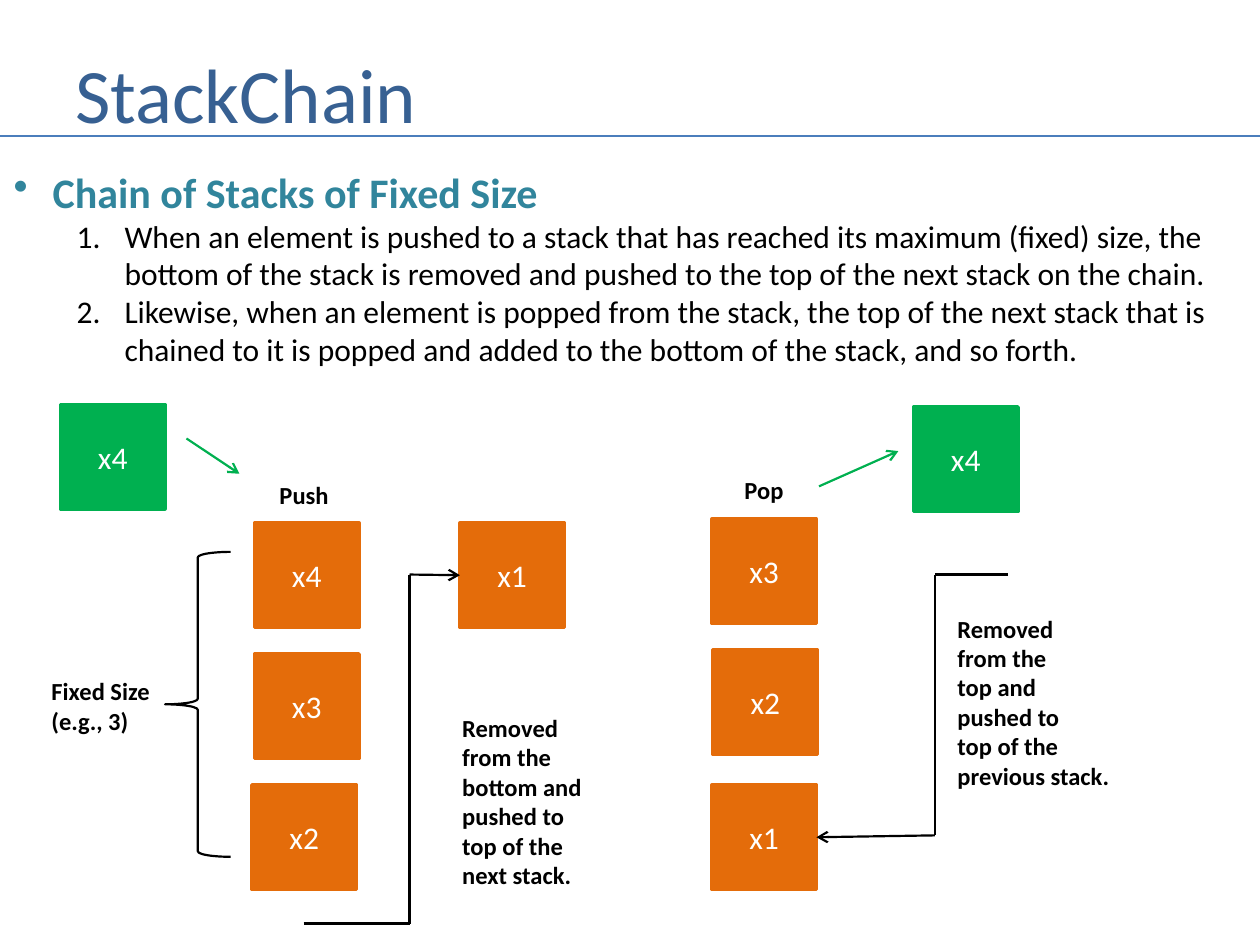
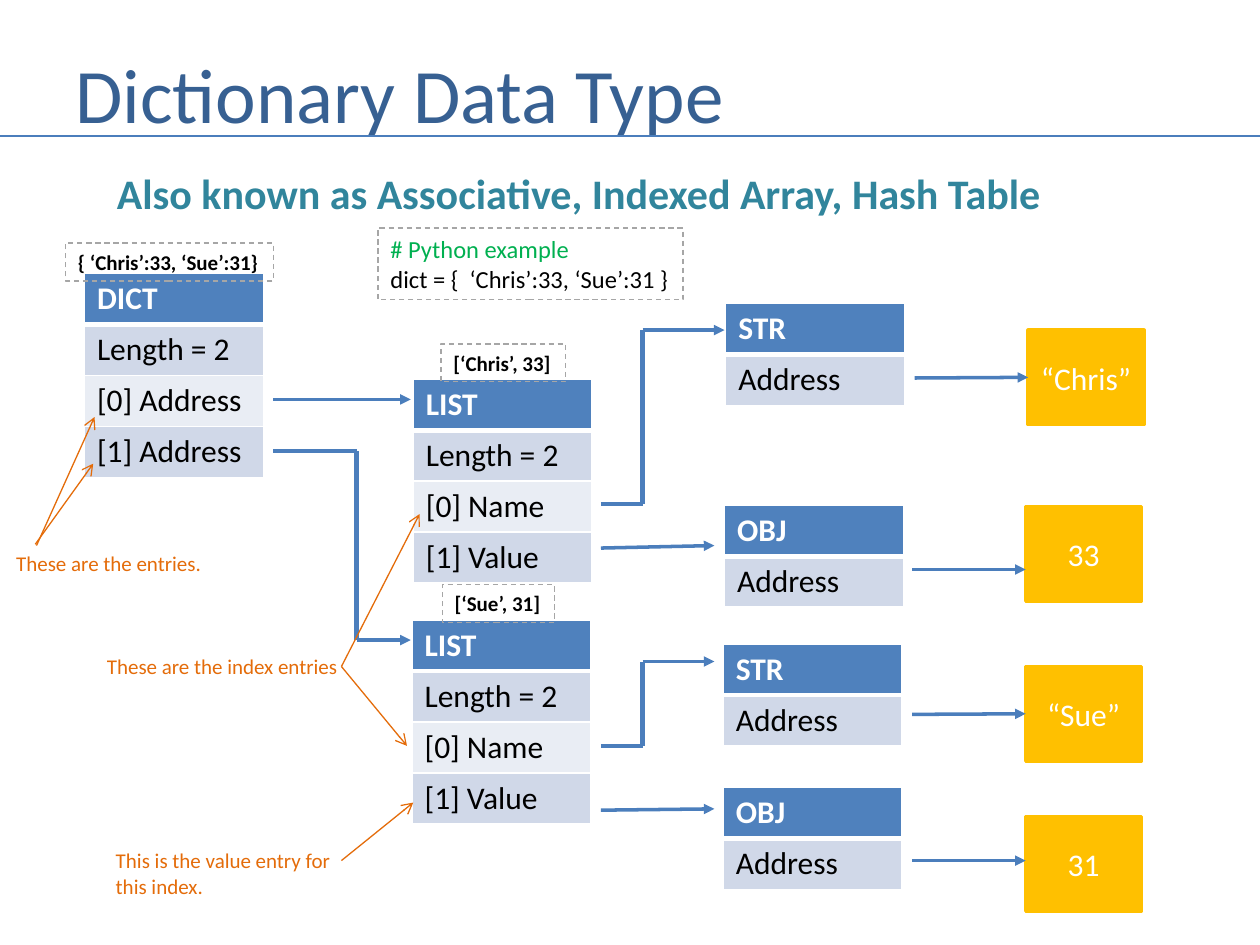
"""Build two slides on chained stacks and the dictionary data type."""

from dataclasses import dataclass
from itertools import cycle, pairwise
from typing import Optional

from lxml import etree
from pptx import Presentation
from pptx.dml.color import RGBColor
from pptx.enum.dml import MSO_LINE
from pptx.enum.shapes import MSO_CONNECTOR, MSO_SHAPE
from pptx.enum.text import MSO_ANCHOR, MSO_AUTO_SIZE, PP_ALIGN
from pptx.oxml.ns import qn
from pptx.util import Inches, Pt

STRAIGHT = MSO_CONNECTOR.STRAIGHT
RECTANGLE = MSO_SHAPE.RECTANGLE
LEFT_BRACE = MSO_SHAPE.LEFT_BRACE
DASH = MSO_LINE.DASH
MIDDLE = MSO_ANCHOR.MIDDLE
FIT_TEXT = MSO_AUTO_SIZE.SHAPE_TO_FIT_TEXT
CENTER = PP_ALIGN.CENTER
LEFT_SIDE, RIGHT_SIDE = 1, 3

FONT = "Calibri"
TABLE_WIDTH = 1.42
ROW_PAIR_HEIGHT = 0.81
COLORS = {
    "title": "376092",
    "heading": "31859C",
    "line": "4B7EBC",
    "header": "4F81BD",
    "band_dark": "D0D8E8",
    "band_light": "E9EDF4",
    "orange": "E46C0A",
    "green": "00B050",
    "gold": "FFC000",
    "grey": "A6A6A6",
    "black": "000000",
    "white": "FFFFFF",
}


@dataclass(frozen=True)
class Note:
    """Lines of text, one paragraph each, optionally in a dashed frame."""

    lines: tuple[str, ...]
    left: float
    top: float
    width: float
    height: float
    size: float = 14
    bold: bool = False
    colors: tuple[str, ...] = ("black",)
    wrap: bool = False
    dashed: bool = False


@dataclass(frozen=True)
class Route:
    """A path of straight segments whose last one carries the arrowhead."""

    points: tuple[tuple[float, float], ...]
    color: str = "line"
    width: float = 2
    stem_width: float = 2.5
    head: Optional[str] = "triangle"


@dataclass(frozen=True)
class BoxStyle:
    """Size and fill shared by boxes of one kind."""

    width: float
    height: float
    fill: str


@dataclass(frozen=True)
class Box:
    """A labelled box and the route that ends at one of its sides."""

    label: str
    left: float
    top: float
    style: BoxStyle
    route: Optional[Route] = None
    side: int = LEFT_SIDE


@dataclass(frozen=True)
class Record:
    """A one-column table with a header row."""

    rows: tuple[str, ...]
    left: float
    top: float


ELEMENT = BoxStyle(0.83, 0.83, "orange")
NEW_ELEMENT = BoxStyle(0.83, 0.83, "green")
VALUE = BoxStyle(0.92, 0.75, "gold")


def black_route(*points: tuple[float, float]) -> Route:
    """Describe the path of an element that moves between stacks."""
    return Route(points, "black", 1.25, 1.25, "arrow")


def green_arrow(*points: tuple[float, float]) -> Route:
    """Describe the arrow of a pushed or popped element."""
    return Route(points, "green", 1.25, head="arrow")


def callout(*points: tuple[float, float]) -> Route:
    """Describe an arrow from an explanation to a table row."""
    return Route(points, "orange", 0.75, head="arrow")


def tag(text: str, left: float, top: float, width: float) -> Note:
    """Describe the dashed label above a table."""
    return Note((text,), left, top, width, 0.3, 12, True, dashed=True)


def explanation(text: str, left: float, top: float, width: float, height: float) -> Note:
    """Describe an orange remark."""
    return Note((text,), left, top, width, height, 12, colors=("orange",), wrap=True)


STACK_NOTES = (
    Note(("Push",), 2.12, 3.76, 0.6, 0.34, bold=True),
    Note(("Pop",), 5.81, 3.72, 0.51, 0.34, bold=True),
    Note(("Fixed Size", "(e.g., 3)"), 0.31, 5.32, 0.99, 0.57, bold=True),
    Note(("Removed", "from the", "bottom and", "pushed to", "top of the", "next stack."),
         3.57, 5.61, 1.17, 1.51, bold=True),
    Note(("Removed", "from the", "top and", "pushed to", "top of the", "previous stack."),
         7.5, 4.82, 1.42, 1.51, bold=True),
)
STACK_BOXES = (
    Box("x4", 0.48, 3.21, NEW_ELEMENT),
    Box("x4", 2.02, 4.15, ELEMENT),
    Box("x3", 2.02, 5.19, ELEMENT),
    Box("x2", 2, 6.23, ELEMENT),
    Box("x1", 3.65, 4.15, ELEMENT,
        black_route((2.41, 7.33), (3.25, 7.33), (3.25, 4.56), (3.65, 4.56))),
    Box("x4", 7.25, 3.23, NEW_ELEMENT),
    Box("x3", 5.65, 4.12, ELEMENT),
    Box("x2", 5.66, 5.16, ELEMENT),
    Box("x1", 5.65, 6.23, ELEMENT,
        black_route((8, 4.56), (7.42, 4.56), (7.42, 6.63), (6.48, 6.65)), RIGHT_SIDE),
)
STACK_ROUTES = (
    green_arrow((1.48, 3.48), (1.9, 3.76)),
    green_arrow((6.5, 3.86), (7.13, 3.58)),
)
STACK_RULES = (
    "When an element is pushed to a stack that has reached its maximum (fixed) size, the "
    "bottom of the stack is removed and pushed to the top of the next stack on the chain.",
    "Likewise, when an element is popped from the stack, the top of the next stack that is "
    "chained to it is popped and added to the bottom of the stack, and so forth.",
)

LIST_ROWS = ("LIST", "Length = 2", "[0] Name", "[1] Value")
STRING_ROWS = ("STR", "Address")
OBJECT_ROWS = ("OBJ", "Address")
DICTIONARY_RECORDS = (
    Record(("DICT", "Length = 2", "[0] Address", "[1] Address"), 0.67, 2.17),
    Record(LIST_ROWS, 3.28, 3.01),
    Record(LIST_ROWS, 3.27, 4.92),
    Record(STRING_ROWS, 5.76, 2.41),
    Record(OBJECT_ROWS, 5.75, 4.01),
    Record(STRING_ROWS, 5.74, 5.11),
    Record(OBJECT_ROWS, 5.74, 6.25),
)
DICTIONARY_BOXES = (
    Box("“Chris”", 8.16, 2.62, VALUE, Route(((7.26, 3), (8.16, 3)))),
    Box("33", 8.14, 4.02, VALUE),
    Box("“Sue”", 8.14, 5.29, VALUE, Route(((7.24, 5.67), (8.14, 5.67)))),
    Box("31", 8.14, 6.48, VALUE),
)
DICTIONARY_ROUTES = (
    Route(((2.17, 3.17), (3.26, 3.17))),
    Route(((2.17, 3.58), (2.83, 3.58), (2.83, 5.08), (3.26, 5.08))),
    Route(((4.77, 4), (5.1, 4), (5.1, 2.62), (5.75, 2.62))),
    Route(((4.77, 4.35), (5.67, 4.33))),
    Route(((4.77, 5.92), (5.1, 5.92), (5.1, 5.25), (5.67, 5.25))),
    Route(((4.77, 6.43), (5.67, 6.42))),
    Route(((7.24, 4.52), (8.14, 4.52))),
    Route(((7.24, 6.83), (8.14, 6.83))),
    callout((0.28, 4.32), (0.74, 3.68)),
    callout((0.29, 4.33), (0.75, 3.31)),
    callout((2.71, 5.29), (3.33, 4.08)),
    callout((2.71, 5.29), (3.23, 5.92)),
    callout((2.71, 6.83), (3.28, 6.37)),
)
DICTIONARY_NOTES = (
    Note(("Also known as Associative, Indexed Array, Hash Table",),
         0.83, 1.28, 7.99, 0.5, 24, True, ("heading",), wrap=True),
    Note(("# Python example", "dict = {  ‘Chris’:33, ‘Sue’:31 }"),
         3, 1.81, 2.42, 0.57, colors=("green", "black"), dashed=True),
    tag("{ ‘Chris’:33, ‘Sue’:31}", 0.52, 1.93, 1.65),
    tag("[‘Chris’, 33]", 3.5, 2.73, 0.99),
    tag("[‘Sue’, 31]", 3.51, 4.64, 0.89),
    explanation("These are the entries.", 0.03, 4.32, 1.82, 0.3),
    explanation("These are the index entries", 0.75, 5.14, 2.08, 0.3),
    explanation("This is the value entry for this index.", 0.82, 6.68, 2.08, 0.5),
)


def rgb(name: str) -> RGBColor:
    """Look up a palette colour."""
    return RGBColor.from_string(COLORS[name])


def add_run(paragraph, text: str, size: float, color: str, bold: bool = False) -> None:
    """Append a formatted run to a paragraph."""
    run = paragraph.add_run()
    run.text = text
    run.font.name = FONT
    run.font.size = Pt(size)
    run.font.bold = bold
    run.font.color.rgb = rgb(color)


def add_text_box(slide, left: float, top: float, width: float, height: float, wrap: bool = True):
    """Add an empty text box."""
    shape = slide.shapes.add_textbox(Inches(left), Inches(top), Inches(width), Inches(height))
    shape.text_frame.word_wrap = wrap
    return shape


def add_note(slide, note: Note) -> None:
    """Draw a note."""
    shape = add_text_box(slide, note.left, note.top, note.width, note.height, note.wrap)
    frame = shape.text_frame
    frame.auto_size = FIT_TEXT
    for index, (line, color) in enumerate(zip(note.lines, cycle(note.colors))):
        paragraph = frame.add_paragraph() if index else frame.paragraphs[0]
        add_run(paragraph, line, note.size, color, note.bold)
    if note.dashed:
        shape.line.color.rgb = rgb("grey")
        shape.line.width = Pt(0.75)
        shape.line.dash_style = DASH


def add_route(slide, route: Route):
    """Draw the segments of a route and return the last connector."""
    segments = list(pairwise(route.points))
    for index, (start, end) in enumerate(segments, 1):
        connector = slide.shapes.add_connector(STRAIGHT, *map(Inches, start + end))
        is_last = index == len(segments)
        connector.line.color.rgb = rgb(route.color)
        connector.line.width = Pt(route.width if is_last else route.stem_width)
        properties = connector.element.spPr
        if is_last and route.head:
            etree.SubElement(properties.find(qn("a:ln")), qn("a:tailEnd"), type=route.head)
        etree.SubElement(properties, qn("a:effectLst"))
    return connector


def add_box(slide, box: Box) -> None:
    """Draw a box and join its route to it."""
    style = box.style
    shape = slide.shapes.add_shape(RECTANGLE, Inches(box.left), Inches(box.top),
                                   Inches(style.width), Inches(style.height))
    shape.shadow.inherit = False
    shape.fill.solid()
    shape.fill.fore_color.rgb = rgb(style.fill)
    shape.line.color.rgb = rgb(style.fill)
    shape.line.width = Pt(2)
    frame = shape.text_frame
    frame.margin_left = frame.margin_right = Inches(0.05)
    frame.vertical_anchor = MIDDLE
    frame.paragraphs[0].alignment = CENTER
    add_run(frame.paragraphs[0], box.label, 18, "white")
    if box.route:
        add_route(slide, box.route).end_connect(shape, box.side)


def set_borders(cell, top: float, bottom: float) -> None:
    """Give a cell white borders."""
    properties = cell._tc.get_or_add_tcPr()
    for edge, width in (("L", 1), ("R", 1), ("T", top), ("B", bottom)):
        border = etree.SubElement(properties, qn(f"a:ln{edge}"), w=str(Pt(width)))
        fill = etree.SubElement(border, qn("a:solidFill"))
        etree.SubElement(fill, qn("a:srgbClr"), val=COLORS["white"])


def add_record(slide, record: Record) -> None:
    """Draw a record as a table with banded rows."""
    count = len(record.rows)
    table = slide.shapes.add_table(count, 1, Inches(record.left), Inches(record.top),
                                   Inches(TABLE_WIDTH), Inches(ROW_PAIR_HEIGHT * count / 2)).table
    for index, text in enumerate(record.rows):
        is_header = index == 0
        cell = table.cell(index, 0)
        set_borders(cell, 3 if index == 1 else 1, 3 if is_header else 1)
        band = "band_dark" if index % 2 else "band_light"
        cell.fill.solid()
        cell.fill.fore_color.rgb = rgb("header" if is_header else band)
        add_run(cell.text_frame.paragraphs[0], text, 18,
                "white" if is_header else "black", is_header)


def add_bullet(paragraph, margin: float, hanging: float, kind: str, **attributes: str) -> None:
    """Give a paragraph a bullet or number with a hanging indent."""
    properties = paragraph._p.get_or_add_pPr()
    properties.set("marL", str(Inches(margin)))
    properties.set("indent", str(-Inches(hanging)))
    etree.SubElement(properties, qn(f"a:{kind}"), **attributes)


def add_stack_rules(slide) -> None:
    """Draw the heading and the numbered rules of the stack chain."""
    frame = add_text_box(slide, 0.01, 1.27, 9.99, 1.72).text_frame
    heading = frame.paragraphs[0]
    add_bullet(heading, 0.31, 0.31, "buChar", char="•")
    add_run(heading, "Chain of Stacks of Fixed Size", 24, "heading", True)
    for rule in STACK_RULES:
        paragraph = frame.add_paragraph()
        paragraph.level = 1
        add_bullet(paragraph, 0.88, 0.38, "buAutoNum", type="arabicPeriod")
        add_run(paragraph, rule, 18, "black")


def add_titled_slide(presentation, title: str):
    """Add a slide with the shared title and rule."""
    slide = presentation.slides.add_slide(presentation.slide_layouts[6])
    frame = add_text_box(slide, 0.5, 0.3, 9.08, 0.87).text_frame
    frame.vertical_anchor = MIDDLE
    add_run(frame.paragraphs[0], title, 44, "title")
    add_route(slide, Route(((0, 1.08), (10, 1.08)), width=1.5, head=None))
    return slide


def add_items(slide, records=(), boxes=(), routes=(), notes=()) -> None:
    """Draw the elements of a diagram from back to front."""
    for draw, items in ((add_record, records), (add_box, boxes),
                        (add_route, routes), (add_note, notes)):
        for item in items:
            draw(slide, item)


def main() -> None:
    """Build and save the presentation."""
    presentation = Presentation()
    presentation.slide_width, presentation.slide_height = Inches(10), Inches(7.5)

    stack_slide = add_titled_slide(presentation, "StackChain")
    add_stack_rules(stack_slide)
    brace = stack_slide.shapes.add_shape(LEFT_BRACE, Inches(1.31), Inches(4.38),
                                         Inches(0.52), Inches(2.42))
    brace.shadow.inherit = False
    brace.fill.background()
    brace.line.color.rgb = rgb("black")
    brace.line.width = Pt(1.25)
    add_items(stack_slide, boxes=STACK_BOXES, routes=STACK_ROUTES, notes=STACK_NOTES)

    dictionary_slide = add_titled_slide(presentation, "Dictionary Data Type")
    add_items(dictionary_slide, DICTIONARY_RECORDS, DICTIONARY_BOXES,
              DICTIONARY_ROUTES, DICTIONARY_NOTES)
    presentation.save("out.pptx")


if __name__ == "__main__":
    main()
